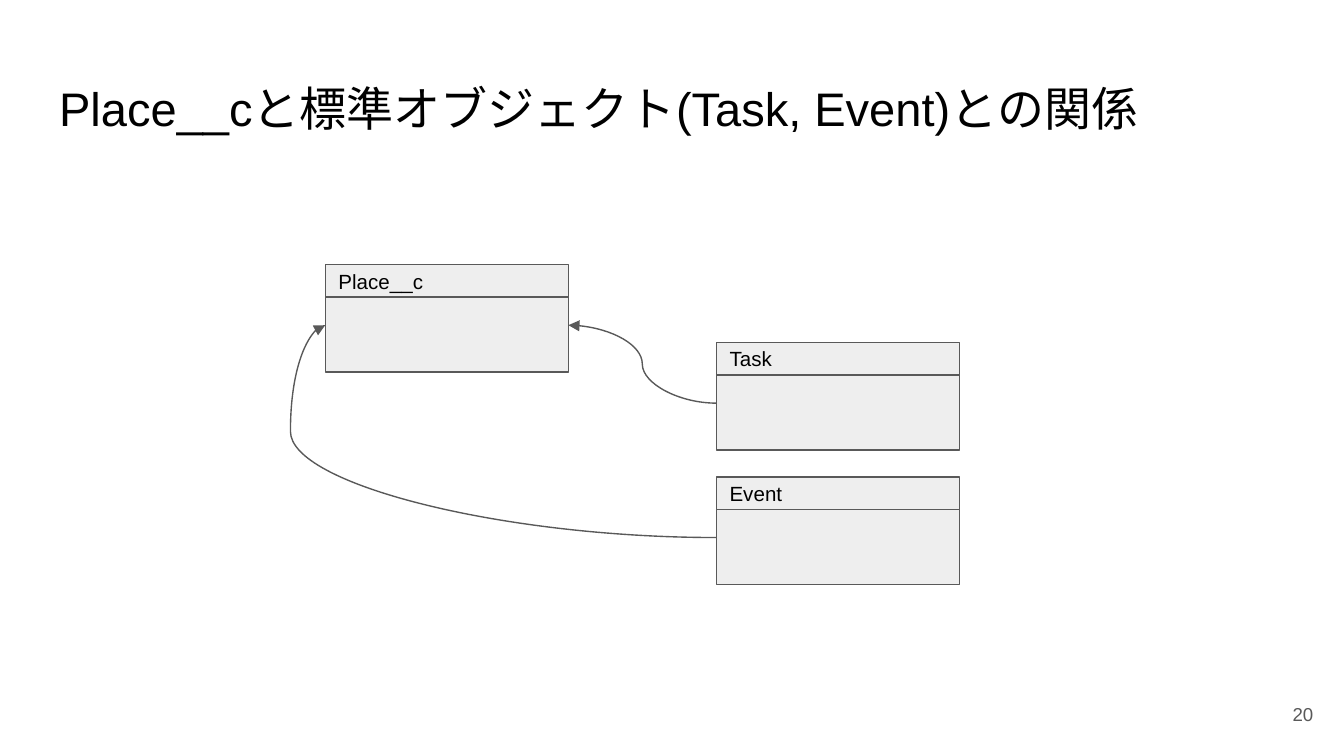
from dataclasses import dataclass

from lxml import etree
from pptx import Presentation
from pptx.dml.color import RGBColor
from pptx.enum.shapes import MSO_CONNECTOR, MSO_SHAPE
from pptx.enum.text import MSO_ANCHOR, MSO_AUTO_SIZE, PP_ALIGN
from pptx.oxml.ns import qn
from pptx.util import Inches, Pt

CURVE = MSO_CONNECTOR.CURVE
RECTANGLE = MSO_SHAPE.RECTANGLE
TOP, MIDDLE = MSO_ANCHOR.TOP, MSO_ANCHOR.MIDDLE
LEFT, RIGHT = PP_ALIGN.LEFT, PP_ALIGN.RIGHT
NO_AUTOFIT = MSO_AUTO_SIZE.NONE
LEFT_SITE, RIGHT_SITE = 1, 3


@dataclass(frozen=True)
class Theme:
    font: str = "Arial"
    ink: RGBColor = RGBColor(0x00, 0x00, 0x00)
    gray: RGBColor = RGBColor(0x59, 0x59, 0x59)
    panel: RGBColor = RGBColor(0xEE, 0xEE, 0xEE)
    title_size: float = 25.2
    label_size: float = 11
    number_size: float = 10
    line_width: float = 0.75


theme = Theme()


def write(shape, text, size, color, align=LEFT, anchor=MIDDLE):
    frame = shape.text_frame
    frame.text = text
    frame.word_wrap = True
    frame.auto_size = NO_AUTOFIT
    frame.vertical_anchor = anchor
    frame.margin_left = frame.margin_right = Inches(0.1)
    frame.margin_top = frame.margin_bottom = Inches(0.1)
    para = frame.paragraphs[0]
    para.alignment = align
    para.font.name = theme.font
    para.font.size = Pt(size)
    para.font.color.rgb = color


def add_panel(group, left, top, height):
    panel = group.shapes.add_shape(
        RECTANGLE, Inches(left), Inches(top), Inches(1.81), Inches(height)
    )
    panel.shadow.inherit = False
    panel.fill.solid()
    panel.fill.fore_color.rgb = theme.panel
    panel.line.color.rgb = theme.gray
    panel.line.width = Pt(theme.line_width)
    return panel


deck = Presentation()
deck.slide_width = Inches(10)
deck.slide_height = deck.slide_width * 9 // 16
page = deck.slides.add_slide(deck.slide_layouts[5])

title = page.shapes.title
title.left, title.top = Inches(0.34), Inches(0.49)
title.width, title.height = Inches(9.32), Inches(0.63)
write(title, "Place__cと標準オブジェクト(Task, Event)との関係",
      theme.title_size, theme.ink, anchor=TOP)

number = page.shapes.add_textbox(Inches(9.27), Inches(5.1), Inches(0.6), Inches(0.43))
write(number, "20", theme.number_size, theme.gray, align=RIGHT)

bodies = {}
for name, left, top in [("Place__c", 2.42, 1.97), ("Task", 5.33, 2.55), ("Event", 5.33, 3.55)]:
    group = page.shapes.add_group_shape()
    bodies[name] = add_panel(group, left, top + 0.1, 0.7)
    header = add_panel(group, left, top, 0.24)
    write(header, name, theme.label_size, theme.ink)

for name, site, bend in [("Task", RIGHT_SITE, 50000), ("Event", LEFT_SITE, 108900)]:
    link = page.shapes.add_connector(CURVE, 0, 0, 0, 0)
    link.begin_connect(bodies[name], LEFT_SITE)
    link.end_connect(bodies["Place__c"], site)
    link.line.color.rgb = theme.gray
    link.line.width = Pt(theme.line_width)
    properties = link._element.spPr
    etree.SubElement(properties.find(qn("a:ln")), qn("a:tailEnd"), type="triangle")
    etree.SubElement(properties, qn("a:effectLst"))
    guides = properties.find(qn("a:prstGeom")).find(qn("a:avLst"))
    etree.SubElement(guides, qn("a:gd"), name="adj1", fmla=f"val {bend}")

deck.save("out.pptx")
